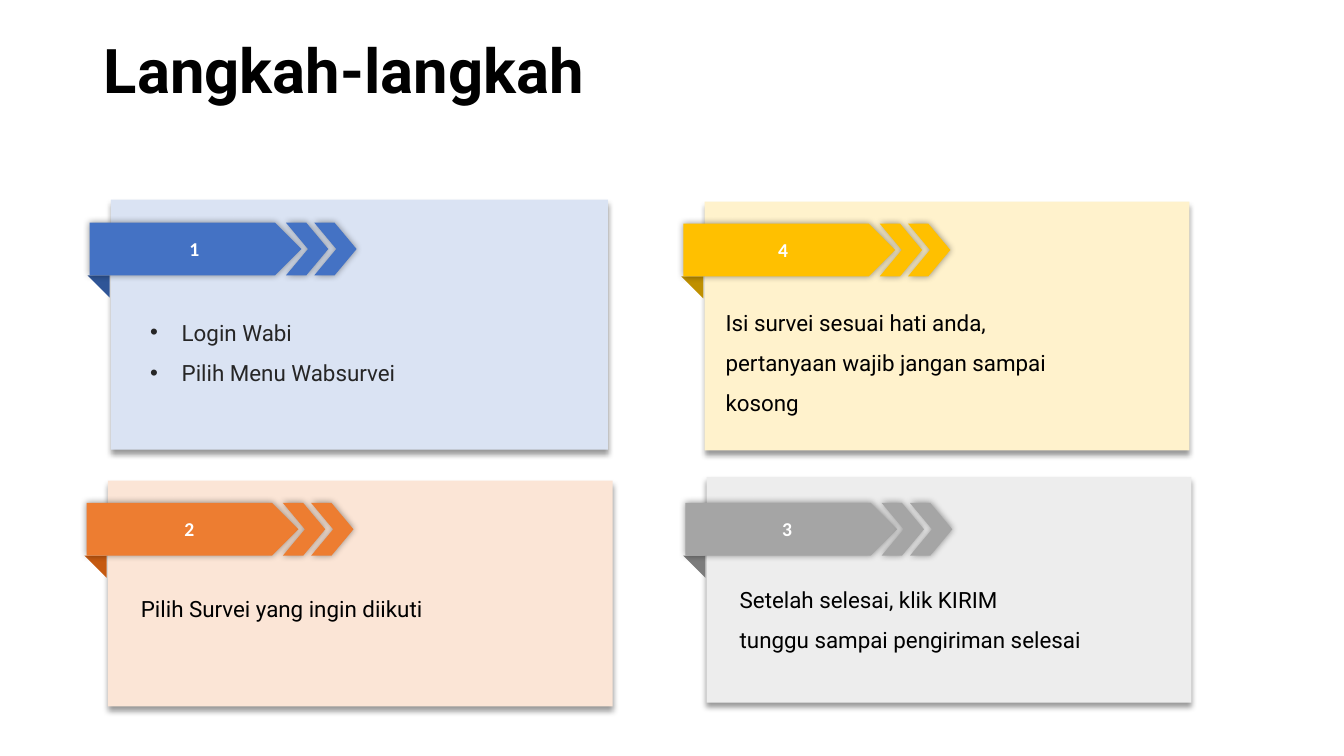
from lxml import etree
from pptx import Presentation
from pptx.dml.color import RGBColor
from pptx.enum.shapes import MSO_SHAPE
from pptx.enum.text import MSO_ANCHOR, MSO_AUTO_SIZE, PP_ALIGN
from pptx.oxml.ns import qn
from pptx.util import Pt

RECT, TRIANGLE = MSO_SHAPE.RECTANGLE, MSO_SHAPE.RIGHT_TRIANGLE
PLATE, CHEVRON = MSO_SHAPE.PENTAGON, MSO_SHAPE.CHEVRON
LEFT, CENTER = PP_ALIGN.LEFT, PP_ALIGN.CENTER
TOP, MIDDLE = MSO_ANCHOR.TOP, MSO_ANCHOR.MIDDLE
NO_FIT = MSO_AUTO_SIZE.NONE

BLACK = RGBColor(0x00, 0x00, 0x00)
WHITE = RGBColor(0xFF, 0xFF, 0xFF)
DARK = RGBColor(0x26, 0x26, 0x26)
# Each theme: card, ribbon, fold
BLUE = RGBColor(0xDA, 0xE3, 0xF3), RGBColor(0x44, 0x72, 0xC4), RGBColor(0x2F, 0x55, 0x97)
ORANGE = RGBColor(0xFB, 0xE5, 0xD6), RGBColor(0xED, 0x7D, 0x31), RGBColor(0xC5, 0x5A, 0x11)
GRAY = RGBColor(0xED, 0xED, 0xED), RGBColor(0xA5, 0xA5, 0xA5), RGBColor(0x7C, 0x7C, 0x7C)
GOLD = RGBColor(0xFF, 0xF2, 0xCC), RGBColor(0xFF, 0xC0, 0x00), RGBColor(0xBF, 0x90, 0x00)

CARD_SHADOW = dict(blur=4, dist=3, angle=90)
RIBBON_SHADOW = dict(blur=5, dist=0, angle=0)
RIBBON_H, FOLD = 37.6, 15.8

# number, theme, card box, ribbon top, number left, text box, lines
STEPS = [
    ("2", ORANGE, (77, 343.4, 360.7, 161.3), 359.3, 73.4,
     (93.6, 411.8, 285.8, 33.1), ["Pilih Survei yang ingin diikuti"]),
    ("3", GRAY, (504.7, 340.6, 346.3, 161.3), 359.3, 500.4,
     (521.3, 405.4, 273.6, 62.6),
     ["Setelah selesai, klik KIRIM", "tunggu sampai pengiriman selesai"]),
    ("4", GOLD, (503.3, 144, 346.3, 177.8), 159.8, 497.5,
     (511.2, 207.4, 293.8, 91.4),
     ["Isi survei sesuai hati anda,", "pertanyaan wajib jangan sampai", "kosong"]),
    ("1", BLUE, (79.2, 142.6, 355, 178.6), 159.1, 77, None, []),
]


def place(sp, box):
    """Move and size a shape to a box given in points."""
    sp.left, sp.top, sp.width, sp.height = map(Pt, box)


def add_shadow(sp, blur, dist, angle):
    """Give a shape a 40 % black outer shadow."""
    effects = sp._element.spPr.find(qn("a:effectLst"))
    shadow = etree.SubElement(effects, qn("a:outerShdw"), blurRad=str(Pt(blur)),
                              dist=str(Pt(dist)), dir=str(angle * 60000),
                              algn="ctr", rotWithShape="0")
    color = etree.SubElement(shadow, qn("a:srgbClr"), val=str(BLACK))
    etree.SubElement(color, qn("a:alpha"), val="40000")


def add_filled(shapes, kind, box, color, shadow=None):
    """Add a preset shape with a plain fill and no line."""
    sp = shapes.add_shape(kind, *map(Pt, box))
    sp.fill.solid()
    sp.fill.fore_color.rgb = color
    sp.line.fill.background()
    sp.shadow.inherit = False
    if shadow:
        add_shadow(sp, **shadow)
    return sp


def write(tf, lines, size=16, font="Roboto", color=BLACK, bold=False,
          align=LEFT, spacing=1.5, anchor=TOP):
    """Fill a text frame with one paragraph per line."""
    tf.word_wrap = True
    tf.auto_size = NO_FIT
    tf.vertical_anchor = anchor
    for i, line in enumerate(lines):
        p = tf.add_paragraph() if i else tf.paragraphs[0]
        p.alignment, p.line_spacing = align, spacing
        p.space_before = Pt(0)
        r = p.add_run()
        r.text = line
        r.font.size, r.font.name, r.font.bold = Pt(size), font, bold
        r.font.color.rgb = color


def add_text(shapes, box, lines, **fmt):
    """Add a text box."""
    write(shapes.add_textbox(*map(Pt, box)).text_frame, lines, **fmt)


def add_bullets(p, indent):
    """Give a paragraph a hanging round bullet."""
    pPr = p._p.get_or_add_pPr()
    pPr.set("marL", str(Pt(indent)))
    pPr.set("indent", str(-Pt(indent)))
    etree.SubElement(pPr, qn("a:buFont"), typeface="Arial")
    etree.SubElement(pPr, qn("a:buChar"), char="•")


def add_ribbon(shapes, left, top, color, fold_color):
    """Add a grouped ribbon: fold, plate and two chevrons."""
    group = shapes.add_group_shape().shapes
    fold = add_filled(group, TRIANGLE, (left - 1.6, top + RIBBON_H, FOLD, FOLD), fold_color)
    fold.rotation = 180
    add_filled(group, PLATE, (left, top, 151.2, RIBBON_H), color, RIBBON_SHADOW)
    for dx in (140.2, 160.4):
        sp = add_filled(group, CHEVRON, (left + dx, top, 30.2, RIBBON_H), color, RIBBON_SHADOW)
        sp.adjustments[0] = 0.52


def add_step(shapes, number, theme, card, ribbon_top, number_left, text_box, lines):
    """Add a card with its numbered ribbon and its text."""
    card_color, color, fold_color = theme
    add_filled(shapes, RECT, card, card_color, CARD_SHADOW)
    add_ribbon(shapes, card[0] - 15.1, ribbon_top, color, fold_color)
    add_text(shapes, (number_left, ribbon_top + 6.3, 123.8, 24.5), [number], size=14,
             font="Calibri", color=WHITE, bold=True, align=CENTER, spacing=1)
    if lines:
        add_text(shapes, text_box, lines)


def main():
    """Build the slide and save it."""
    prs = Presentation()
    prs.slide_width, prs.slide_height = Pt(960), Pt(540)
    s = prs.slides.add_slide(prs.slide_layouts[1])
    title, body = s.placeholders

    place(title, (67, 21.6, 960, 61.2))
    write(title.text_frame, ["Langkah-langkah"], size=44, bold=True,
          spacing=0.9, anchor=MIDDLE)

    for step in STEPS:
        add_step(s.shapes, *step)

    place(body, (100.1, 214.6, 277.2, 62.6))
    write(body.text_frame, ["Login Wabi", "Pilih Menu Wabsurvei"], color=DARK)
    for p in body.text_frame.paragraphs:
        add_bullets(p, 22.5)
    s.shapes._spTree.append(body._element)  # bring the list in front of its card

    prs.save("out.pptx")


main()
